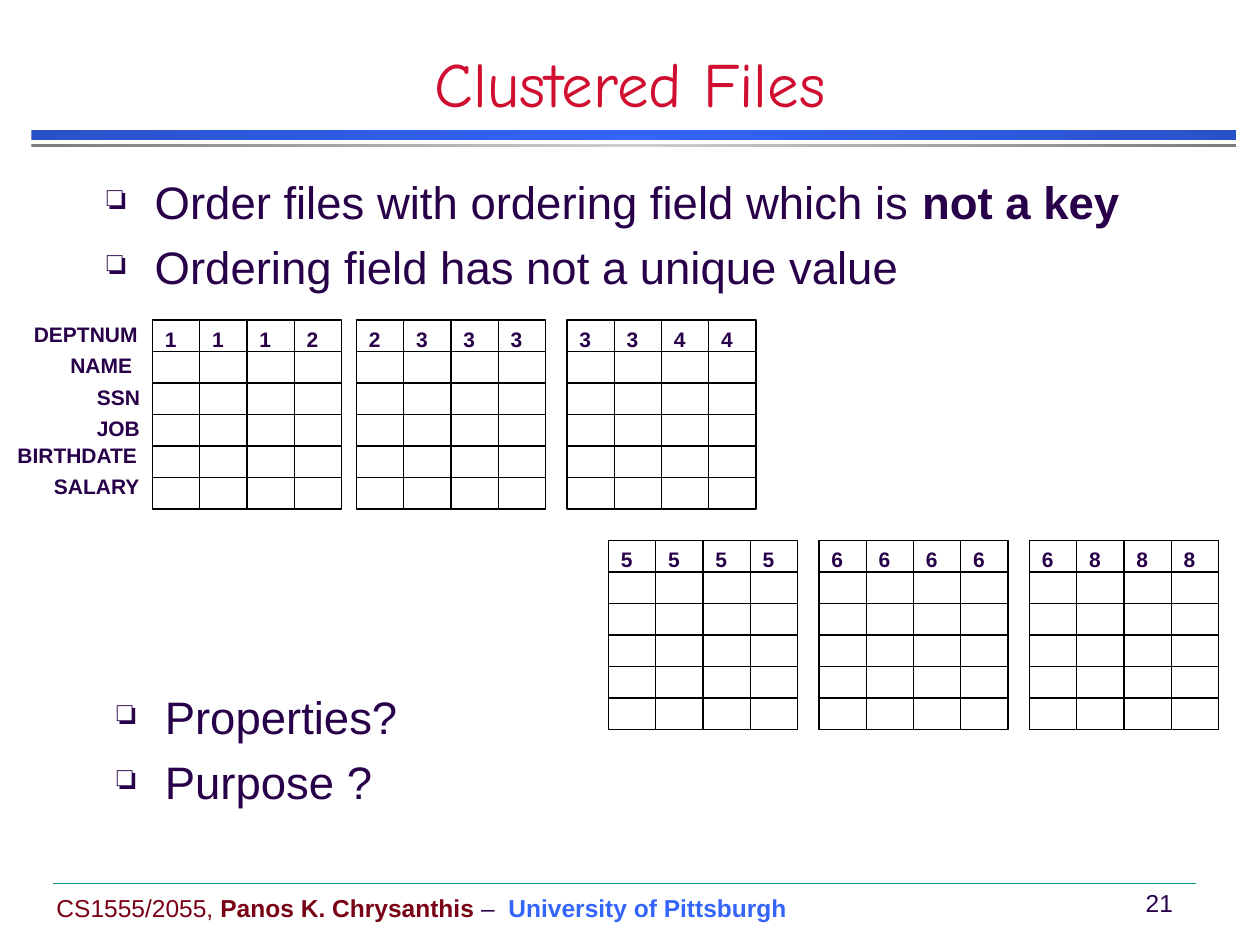
"""Build the Clustered Files slide."""
from copy import deepcopy

from pptx import Presentation
from pptx.dml.color import RGBColor
from pptx.enum.shapes import MSO_CONNECTOR, MSO_SHAPE
from pptx.enum.text import MSO_ANCHOR as Anchor, PP_ALIGN as Align
from pptx.oxml.ns import qn
from pptx.oxml.xmlchemy import OxmlElement
from pptx.util import Inches, Pt

INK, RED, MAROON, BLUE, BLACK = "280049", "CF0E30", "790015", "3365FB", "000000"
TITLE = "Clustered Files"
FOOTER = [
    ("CS1555/2055, ", MAROON, False),
    ("Panos K. Chrysanthis", MAROON, True),
    (" –  ", INK, False),
    ("University of Pittsburgh", BLUE, True),
]
BULLETS = [
    (0.75, 1.33, [
        [("Order files with ordering field which is ", INK, False), ("not a key", INK, True)],
        [("Ordering field has not a unique value", INK, False)],
    ]),
    (0.83, 5.42, [[("Properties?", INK, False)], [("Purpose ?", INK, False)]]),
]
LABELS = [
    ("DEPTNUM", 0.17, 2.5, 1.25),
    ("NAME", 0.46, 2.75, 0.75),
    ("SSN", 0.67, 3, 0.75),
    ("JOB", 0.67, 3.25, 1),
    ("BIRTHDATE", 0.04, 3.46, 1.62),
    ("SALARY", 0.33, 3.71, 1.08),
]
BLOCKS = [
    (1.21, 2.54, "1112"),
    (2.83, 2.54, "2333"),
    (4.5, 2.54, "3344"),
    (4.83, 4.29, "5555"),
    (6.5, 4.29, "6666"),
    (8.17, 4.29, "6888"),
]
BANDS = [
    (1.03, 0.08, ("2951C9", "3365FB", "2951C9")),
    (1.14, 0.03, ("7C7C7C", "CECECE", "7C7C7C")),
]
CELL_WIDTH, CELL_HEIGHT, EMPTY_ROWS = 0.375, 0.25, 5


def color(value):
    return RGBColor.from_string(value)


def write(para, spans, size, font="Arial"):
    for text, ink, bold in spans:
        span = para.add_run()
        span.text = text
        span.font.name, span.font.size, span.font.bold = font, Pt(size), bold
        span.font.color.rgb = color(ink)


def add_text(page, place, paras, size, font="Arial", align=Align.LEFT,
             anchor=Anchor.TOP, wrap=True):
    box = page.shapes.add_textbox(*map(Inches, place))
    frame = box.text_frame
    frame.word_wrap, frame.vertical_anchor = wrap, anchor
    for index, spans in enumerate(paras):
        para = frame.add_paragraph() if index else frame.paragraphs[0]
        para.alignment = align
        write(para, spans, size, font)
    return box


def add_bullet(para):
    para.space_before = Pt(6)
    props = para._p.get_or_add_pPr()
    props.set("marL", str(Inches(0.38)))
    props.set("indent", str(-Inches(0.38)))
    tint = OxmlElement("a:buClr")
    swatch = OxmlElement("a:srgbClr")
    swatch.set("val", INK)
    tint.append(swatch)
    scale = OxmlElement("a:buSzPct")
    scale.set("val", "75000")
    mark = OxmlElement("a:buChar")
    mark.set("char", "❏")
    for part in (tint, scale, mark):
        props.append(part)


def add_rectangle(page, left, top, width, height):
    shape = page.shapes.add_shape(
        MSO_SHAPE.RECTANGLE, *map(Inches, (left, top, width, height)))
    shape.shadow.inherit = False
    return shape


def add_band(page, top, height, colors):
    band = add_rectangle(page, 0.25, top, 9.56, height)
    band.line.fill.background()
    band.fill.gradient()
    band.fill.gradient_angle = 0
    stops = band._element.spPr.find(qn("a:gradFill")).find(qn("a:gsLst"))
    stops.insert(1, deepcopy(stops[0]))
    for stop, position, value in zip(band.fill.gradient_stops, (0, 0.5, 1), colors):
        stop.position = position
        stop.color.rgb = color(value)


def add_cell(page, left, top, width, height):
    cell = add_rectangle(page, left, top, width, height)
    cell.fill.background()
    cell.line.color.rgb = color(BLACK)
    cell.line.width = Pt(0.75)
    return cell


def add_line(page, start, end, ink=BLACK, width=0.75):
    line = page.shapes.add_connector(
        MSO_CONNECTOR.STRAIGHT, *map(Inches, (*start, *end)))
    line.line.color.rgb = color(ink)
    line.line.width = Pt(width)
    line._element.spPr.append(OxmlElement("a:effectLst"))
    return line


def add_block(page, left, top, keys):
    columns = [left + index * CELL_WIDTH for index in range(len(keys))]
    for x, key in zip(columns, keys):
        cell = add_cell(page, x, top, CELL_WIDTH, CELL_HEIGHT)
        cell.text_frame.vertical_anchor = Anchor.TOP
        para = cell.text_frame.paragraphs[0]
        para.alignment = Align.LEFT
        write(para, [(key, INK, True)], 12)
    body_top = top + CELL_HEIGHT
    width, height = len(keys) * CELL_WIDTH, EMPTY_ROWS * CELL_HEIGHT
    body = add_cell(page, left, body_top, width, height)
    for row in range(1, EMPTY_ROWS):
        y = body_top + row * CELL_HEIGHT
        add_line(page, (left, y), (left + width, y))
    for index, x in enumerate(columns[1:], 1):
        line = add_line(page, (x, body_top), (x, body_top + height))
        if index * 2 == len(keys):
            line.begin_connect(body, 0)
            line.end_connect(body, 2)


def main():
    deck = Presentation()
    deck.slide_width, deck.slide_height = Inches(10), Inches(7.5)
    page = deck.slides.add_slide(deck.slide_layouts[6])
    for band in BANDS:
        add_band(page, *band)
    add_text(page, (0.35, 6.8, 6.04, 0.57), [FOOTER], 14,
             anchor=Anchor.BOTTOM, wrap=False)
    add_text(page, (8.93, 7, 0.49, 0.33), [[(" 21", INK, False)]], 14,
             align=Align.CENTER, anchor=Anchor.MIDDLE, wrap=False)
    add_line(page, (0.42, 7.01), (9.49, 7.01), "009688", 0.25)
    add_text(page, (0.75, 0.25, 8.5, 0.75), [[(TITLE, RED, False)]], 36,
             "Comic Neue", Align.CENTER, Anchor.BOTTOM)
    for label, left, top, width in LABELS:
        add_text(page, (left, top, width, 0.25), [[(label, INK, True)]], 12)
    for block in BLOCKS:
        add_block(page, *block)
    for left, top, paras in BULLETS:
        box = add_text(page, (left, top, 8.5, 1.25), paras, 26)
        for para in box.text_frame.paragraphs:
            add_bullet(para)
    deck.save("out.pptx")


if __name__ == "__main__":
    main()
